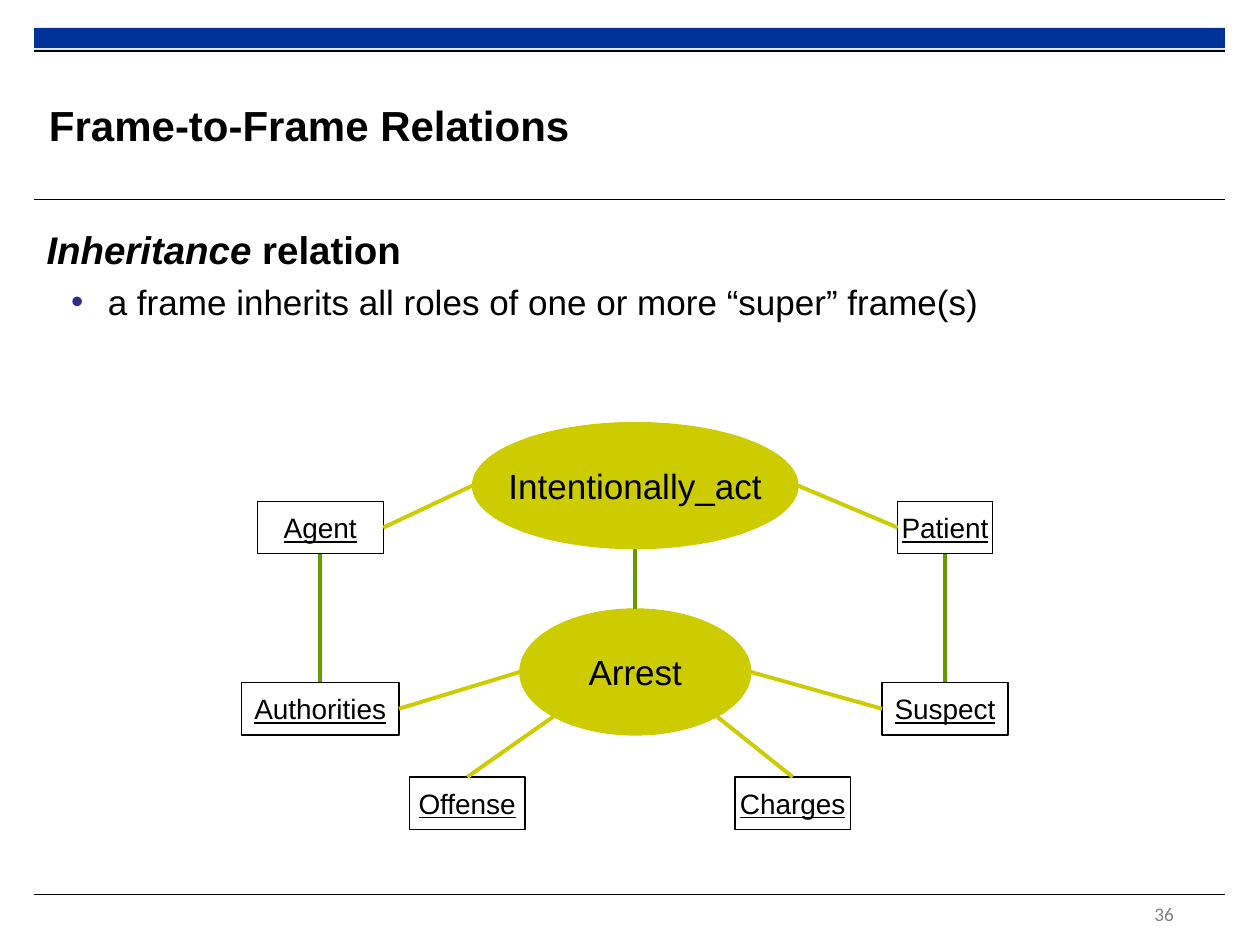
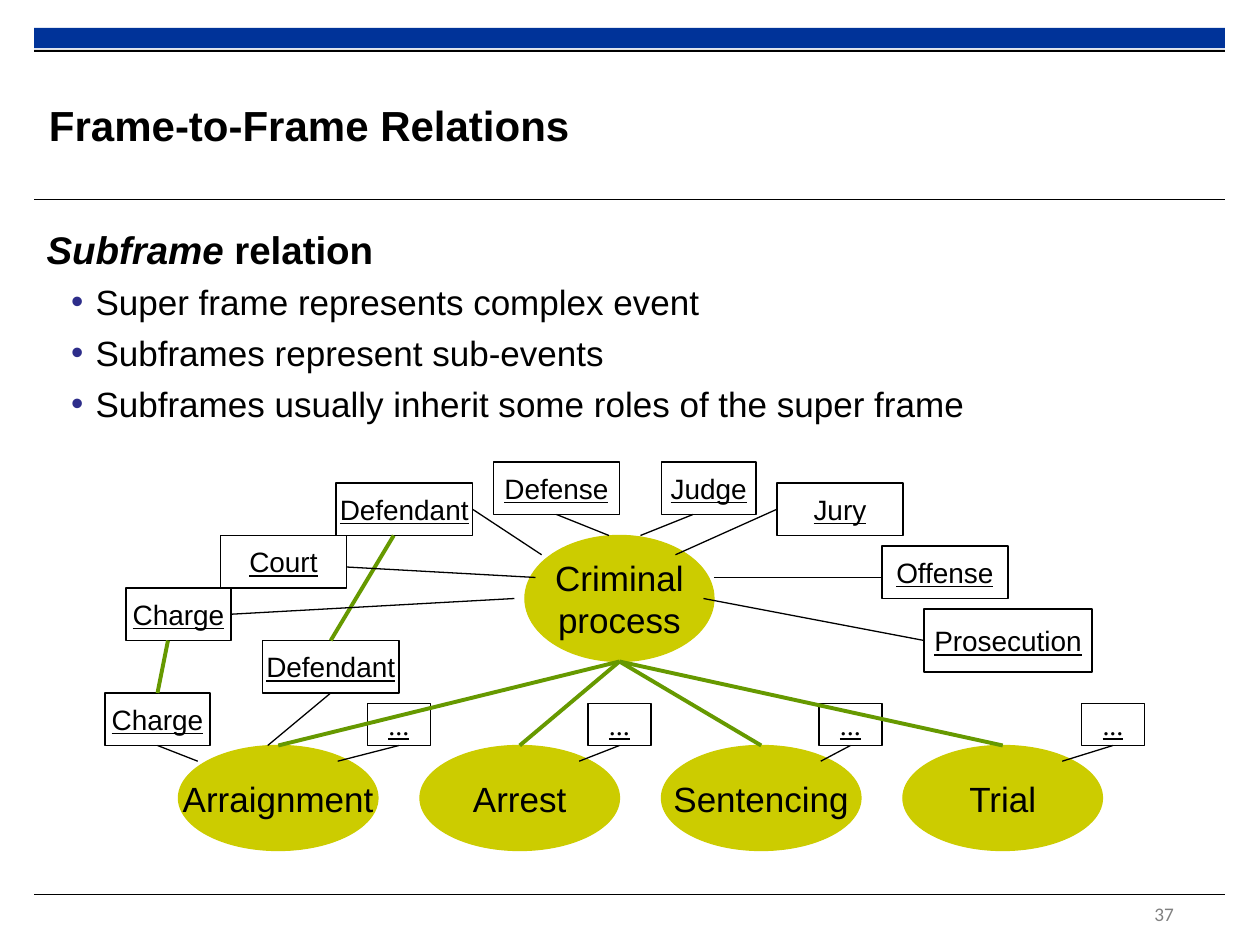
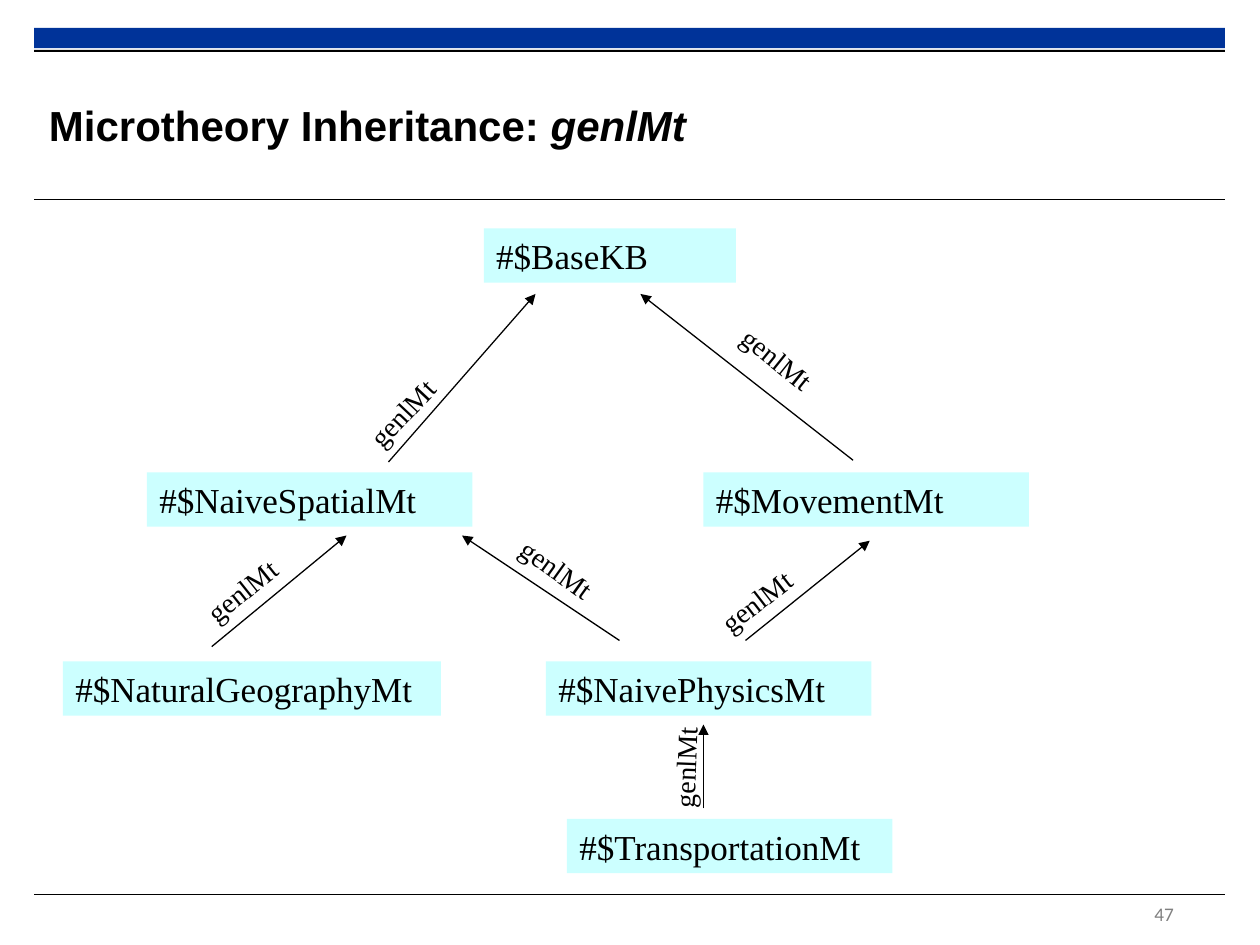
import pptx
import pptx.util
import pptx.dml.color
import pptx.enum.shapes
import pptx.enum.text
import pptx.oxml.ns
import lxml.etree

Pt = pptx.util.Pt
Kind = pptx.enum.shapes.MSO_SHAPE
Align = pptx.enum.text.PP_ALIGN
Anchor = pptx.enum.text.MSO_ANCHOR
Fit = pptx.enum.text.MSO_AUTO_SIZE


class Theme:
    ink = "000000"
    band = "003399"
    gray = "808080"
    dot = "2D2D8A"
    olive = "CCCC00"
    green = "669900"
    aqua = "CCFFFF"
    sans = "Arial"
    serif = "Times New Roman"
    foot = "Calibri"
    title = 24
    head = 22
    text = 20
    role = 16
    page = 11
    hair = 0.6
    thin = 0.75
    thick = 2.25
    left = 19.5
    wide = 680.5


SUBS = ["Arraignment", "Arrest", "Sentencing", "Trial"]
DOTS = [210, 336, 468, 618]
SUB_LEFT, SUB_STEP = 102, 138

INHERIT = {
    "num": "36",
    "title": [("Frame-to-Frame Relations", False)],
    "head": [("Inheritance", True), (" relation", False)],
    "points": ["a frame inherits all roles of one or more “super” frame(s)"],
    "indent": 35,
    "roles": {
        "patient": ("Patient", 513, 286.5, 54, 30),
        "agent": ("Agent", 147, 286.5, 72, 30),
        "charges": ("Charges", 420, 444, 66, 30),
        "offense": ("Offense", 234, 444, 66, 30),
        "author": ("Authorities", 138, 390, 90, 30),
        "suspect": ("Suspect", 504, 390, 72, 30),
    },
    "frames": {
        "act": ("Intentionally_act", 270, 241.5, 186, 72),
        "arrest": ("Arrest", 297, 348, 132, 72),
    },
    "links": [
        ("patient.s", "suspect.n", "green"),
        ("agent.s", "author.n", "green"),
        ("act.s", "arrest.n", "green"),
        ("agent.e", "act.w", "olive"),
        ("act.e", "patient.w", "olive"),
        ("author.e", "arrest.w", "olive"),
        ("arrest.e", "suspect.w", "olive"),
        ("offense.n", "arrest.sw", "olive"),
        ("charges.n", "arrest.se", "olive"),
    ],
}

SUBFRAME = {
    "num": "37",
    "title": INHERIT["title"],
    "head": [("Subframe", True), (" relation", False)],
    "points": [
        "Super frame represents complex event",
        "Subframes represent sub-events",
        "Subframes usually inherit some roles of the super frame",
    ],
    "indent": 28,
    "roles": {
        "charge": ("Charge", 72, 336, 60, 30),
        "judge": ("Judge", 378, 264, 54, 30),
        "accused": ("Defendant", 192, 276, 78, 30),
        "defense": ("Defense", 282, 264, 72, 30),
        "court": ("Court", 126, 306, 72, 30),
        "jury": ("Jury", 444, 276, 72, 30),
        "offense": ("Offense", 504, 312, 72, 30),
        "pros": ("Prosecution", 528, 348, 96, 36),
        "charge2": ("Charge", 60, 396, 60, 30),
        "accused2": ("Defendant", 150, 366, 78, 30),
        **{f"dots{i}": ("...", x, 402, 36, 24) for i, x in enumerate(DOTS)},
    },
    "frames": {
        "crime": ("Criminal\nprocess", 300, 306, 108, 72),
        **{f"sub{i}": (name, SUB_LEFT + i * SUB_STEP, 426, 114, 60)
           for i, name in enumerate(SUBS)},
    },
    "links": [
        *[("crime.s", f"sub{i}.n", "green") for i in range(len(SUBS))],
        ((96, 366), "charge2.n", "green"),
        ("accused2.n", (225, 306), "green"),
        ("charge.e", (294, 342), "ink"),
        ("accused.e", (309.5, 317), "ink"),
        ("defense.s", (348, 306), "ink"),
        ((386, 317), "jury.w", "ink"),
        ((402, 342), "pros.w", "ink"),
        ((198, 324), (306, 330), "ink"),
        ((366, 306), (396, 294), "ink"),
        ((408, 330), (504, 330), "ink"),
        ("accused2.s", (153, 426), "ink"),
        ("charge2.s", (113, 435), "ink"),
        *[((SUB_LEFT + 91 + i * SUB_STEP, 435), f"dots{i}.s", "ink")
          for i in range(len(DOTS))],
    ],
}

MICRO = {
    "num": "47",
    "title": [("Microtheory Inheritance: ", False), ("genlMt", True)],
    "nodes": [
        ("#$BaseKB", 276.5, 130.5, 144),
        ("#$NaiveSpatialMt", 84, 270, 186),
        ("#$MovementMt", 402, 270, 186),
        ("#$NaturalGeographyMt", 36, 378, 216),
        ("#$NaivePhysicsMt", 312, 378, 186),
        ("#$TransportationMt", 324, 468, 186),
    ],
    "label": "genlMt",
    "arrows": [
        ((222, 264), (306, 168), (199.5, 222.5), 313.3),
        ((487.5, 263), (366, 168), (414, 192), 38.8),
        ((121, 369.5), (198, 306), (108, 324), 321.5),
        ((354, 366), (264, 306), (288, 312), 35.7),
        ((426, 366), (497, 309), (402, 330), 322.3),
        ((402, 462), (402, 414), (361, 425), 272.2),
    ],
}

DIAG = 0.5 ** 0.5 / 2
SIDES = {
    "n": (0.5, 0), "s": (0.5, 1), "w": (0, 0.5), "e": (1, 0.5),
    "sw": (0.5 - DIAG, 0.5 + DIAG), "se": (0.5 + DIAG, 0.5 + DIAG),
}


def tint(code):
    return pptx.dml.color.RGBColor.from_string(code)


def child(node, tag, **attrs):
    return lxml.etree.SubElement(node, pptx.oxml.ns.qn(tag), attrs)


def style(para, size, face=Theme.sans, color=Theme.ink, bold=False, under=False):
    for run in para.runs:
        font = run.font
        font.size, font.name, font.bold = Pt(size), face, bold
        font.underline = under
        font.color.rgb = tint(color)


def mix(para, parts, size):
    for words, slant in parts:
        run = para.add_run()
        run.text = words
        run.font.italic = slant
    style(para, size, bold=True)


def shape(slide, kind, box, fill=None, line=None):
    item = slide.shapes.add_shape(kind, *map(Pt, box))
    item.shadow.inherit = False
    if fill:
        item.fill.solid()
        item.fill.fore_color.rgb = tint(fill)
    else:
        item.fill.background()
    if line:
        item.line.color.rgb = tint(line)
        item.line.width = Pt(Theme.thin)
    else:
        item.line.fill.background()
    return item


def textbox(slide, box, wrap=True):
    item = slide.shapes.add_textbox(*map(Pt, box))
    item.text_frame.word_wrap = wrap
    return item


def join(slide, start, end, color, width, head=False):
    line = slide.shapes.add_connector(
        pptx.enum.shapes.MSO_CONNECTOR.STRAIGHT, *map(Pt, (*start, *end)))
    line.line.color.rgb = tint(color)
    line.line.width = Pt(width)
    if head:
        child(line.line._get_or_add_ln(), "a:tailEnd", type="triangle")
    child(line._element.spPr, "a:effectLst")


def label(item, words, size, face=Theme.sans, under=False):
    frame = item.text_frame
    frame.text = words
    frame.word_wrap = False
    frame.vertical_anchor = Anchor.MIDDLE
    for para in frame.paragraphs:
        para.alignment = Align.CENTER
        style(para, size, face, under=under)


def base(deck, data):
    slide = deck.slides.add_slide(deck.slide_layouts[6])
    left, wide = Theme.left, Theme.wide
    shape(slide, Kind.RECTANGLE, (left, 16, wide, 11.5), Theme.band)
    shape(slide, Kind.RECTANGLE, (left, 28.5, wide, 1.2), Theme.ink)
    for y in (114.25, 511):
        join(slide, (left, y), (left + wide, y), Theme.ink, Theme.hair)

    page = textbox(slide, (652.5, 512, 39.5, 22)).text_frame
    page.text = data["num"]
    page.paragraphs[0].space_before = Pt(2)
    style(page.paragraphs[0], Theme.page, Theme.foot, Theme.gray)

    frame = textbox(slide, (28, 38.5, 512, 66)).text_frame
    frame.margin_left = frame.margin_right = 0
    frame.margin_top = frame.margin_bottom = 0
    frame.vertical_anchor = Anchor.MIDDLE
    mix(frame.paragraphs[0], data["title"], Theme.title)
    return slide


def bullet(para, indent):
    props = para._p.get_or_add_pPr()
    props.set("marL", str(Pt(indent)))
    props.set("indent", str(Pt(14) - Pt(indent)))
    child(child(props, "a:buClr"), "a:srgbClr", val=Theme.dot)
    child(props, "a:buFont", typeface=Theme.sans)
    child(props, "a:buChar", char="•")


def body(slide, data):
    frame = textbox(slide, (Theme.left, 125.5, Theme.wide, 144.5)).text_frame
    head = frame.paragraphs[0]
    head.space_before = Pt(2)
    mix(head, data["head"], Theme.head)
    for words in data["points"]:
        para = frame.add_paragraph()
        para.text = words
        para.level = 1
        para.space_before = Pt(5)
        bullet(para, data["indent"])
        style(para, Theme.text)


def spot(end, boxes):
    if isinstance(end, tuple):
        return end
    key, side = end.split(".")
    x, y, w, h = boxes[key][1:]
    fx, fy = SIDES[side]
    return x + fx * w, y + fy * h


def graph(deck, data):
    slide = base(deck, data)
    body(slide, data)
    for words, *box in data["frames"].values():
        item = shape(slide, Kind.OVAL, box, Theme.olive, Theme.olive)
        label(item, words, Theme.text)
    for words, *box in data["roles"].values():
        item = shape(slide, Kind.RECTANGLE, box, line=Theme.ink)
        face = Theme.serif if words == "..." else Theme.sans
        label(item, words, Theme.role, face, under=True)
    boxes = {**data["roles"], **data["frames"]}
    for start, end, tone in data["links"]:
        width = Theme.thin if tone == "ink" else Theme.thick
        join(slide, spot(start, boxes), spot(end, boxes),
             getattr(Theme, tone), width)


def tree(deck, data):
    slide = base(deck, data)
    for words, x, y, w in data["nodes"]:
        item = shape(slide, Kind.RECTANGLE, (x, y, w, 31), Theme.aqua)
        frame = item.text_frame
        frame.text = words
        frame.word_wrap = True
        frame.auto_size = Fit.SHAPE_TO_FIT_TEXT
        frame.vertical_anchor = Anchor.TOP
        frame.paragraphs[0].alignment = Align.LEFT
        style(frame.paragraphs[0], Theme.text, Theme.serif)
    for start, end, place, turn in data["arrows"]:
        join(slide, start, end, Theme.ink, Theme.thin, head=True)
        item = textbox(slide, (*place, 61, 26.5), wrap=False)
        item.rotation = turn
        item.text_frame.text = data["label"]
        item.text_frame.auto_size = Fit.SHAPE_TO_FIT_TEXT
        style(item.text_frame.paragraphs[0], Theme.role, Theme.serif)


def main():
    deck = pptx.Presentation()
    deck.slide_width, deck.slide_height = Pt(720), Pt(540)
    graph(deck, INHERIT)
    graph(deck, SUBFRAME)
    tree(deck, MICRO)
    deck.save("out.pptx")


if __name__ == "__main__":
    main()
